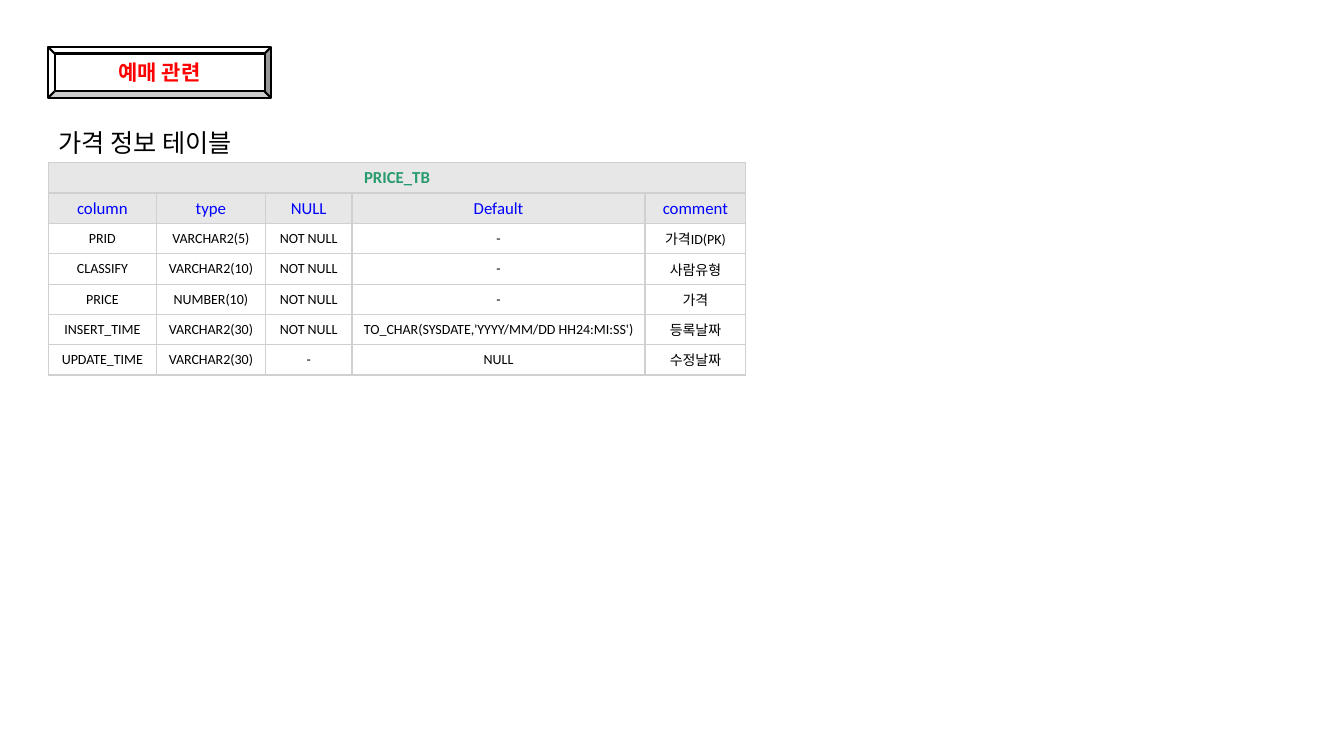
from lxml.etree import SubElement
from pptx import Presentation
from pptx.dml.color import RGBColor
from pptx.enum.shapes import MSO_SHAPE
from pptx.enum.text import MSO_ANCHOR, MSO_AUTO_SIZE, PP_ALIGN
from pptx.oxml.ns import qn
from pptx.util import Pt

COLORS = {
    "white": "FFFFFF",
    "black": "000000",
    "red": "FF0000",
    "blue": "0000FF",
    "green": "289B6E",
    "header": "E7E7E7",
    "border": "D0D0D0",
}


def write_text(frame, text, size=10, color="black", bold=False,
               align=PP_ALIGN.CENTER):
    paragraph = frame.paragraphs[0]
    paragraph.alignment = align
    run = paragraph.add_run()
    run.text = text
    run.font.name = "Calibri"
    run.font.size = Pt(size)
    run.font.bold = bold
    run.font.color.rgb = RGBColor.from_string(COLORS[color])


def format_cell(cell, fill):
    cell.vertical_anchor = MSO_ANCHOR.MIDDLE
    properties = cell._tc.get_or_add_tcPr()
    for side in ("a:lnL", "a:lnR", "a:lnT", "a:lnB"):
        line = SubElement(properties, qn(side), w=str(Pt(1)))
        line_fill = SubElement(line, qn("a:solidFill"))
        SubElement(line_fill, qn("a:srgbClr"), val=COLORS["border"])
    cell.fill.solid()
    cell.fill.fore_color.rgb = RGBColor.from_string(COLORS[fill])


presentation = Presentation()
presentation.slide_width = Pt(960)
presentation.slide_height = Pt(540)
slide = presentation.slides.add_slide(presentation.slide_layouts[5])
left = Pt(34.5)

title = slide.shapes.title
title.left, title.top, title.width, title.height = left, Pt(87), Pt(214.5), Pt(29)
title_frame = title.text_frame
title_frame.auto_size = MSO_AUTO_SIZE.NONE
title_frame.vertical_anchor = MSO_ANCHOR.TOP
write_text(title_frame, "가격 정보 테이블", size=18, align=PP_ALIGN.LEFT)

section_badge = slide.shapes.add_shape(
    MSO_SHAPE.BEVEL, left, Pt(33.8), Pt(159), Pt(36))
section_badge.shadow.inherit = False
section_badge.adjustments[0] = 0.125
section_badge.fill.solid()
section_badge.fill.fore_color.rgb = RGBColor.from_string(COLORS["white"])
section_badge.line.color.rgb = RGBColor.from_string(COLORS["black"])
section_badge.line.width = Pt(1.5)
section_badge.text_frame.vertical_anchor = MSO_ANCHOR.MIDDLE
write_text(section_badge.text_frame, "예매 관련", size=15, color="red", bold=True)

rows = [
    ["PRICE_TB", "", "", "", ""],
    ["column", "type", "NULL", "Default", "comment"],
    ["PRID", "VARCHAR2(5)", "NOT NULL", "-", "가격ID(PK)"],
    ["CLASSIFY", "VARCHAR2(10)", "NOT NULL", "-", "사람유형"],
    ["PRICE", "NUMBER(10)", "NOT NULL", "-", "가격"],
    ["INSERT_TIME", "VARCHAR2(30)", "NOT NULL",
     "TO_CHAR(SYSDATE,'YYYY/MM/DD HH24:MI:SS')", "등록날짜"],
    ["UPDATE_TIME", "VARCHAR2(30)", "-", "NULL", "수정날짜"],
]
column_widths = [77.3, 77.7, 62, 209.3, 72]
header_formats = [
    {"size": 12, "color": "green", "bold": True},
    {"size": 12, "color": "blue"},
]

table = slide.shapes.add_table(
    len(rows), len(column_widths), left, Pt(116), Pt(498.3), Pt(139)).table
table.first_row = False
table.horz_banding = False
for column, width in zip(table.columns, column_widths):
    column.width = Pt(width)

for row_index, values in enumerate(rows):
    is_header = row_index < len(header_formats)
    text_format = header_formats[row_index] if is_header else {}
    table.rows[row_index].height = Pt(21.8 if is_header else 19.2)
    for column_index, value in enumerate(values):
        cell = table.cell(row_index, column_index)
        format_cell(cell, "header" if is_header else "white")
        if value:
            write_text(cell.text_frame, value, **text_format)
table.cell(0, 0).merge(table.cell(0, len(column_widths) - 1))

presentation.save("out.pptx")
